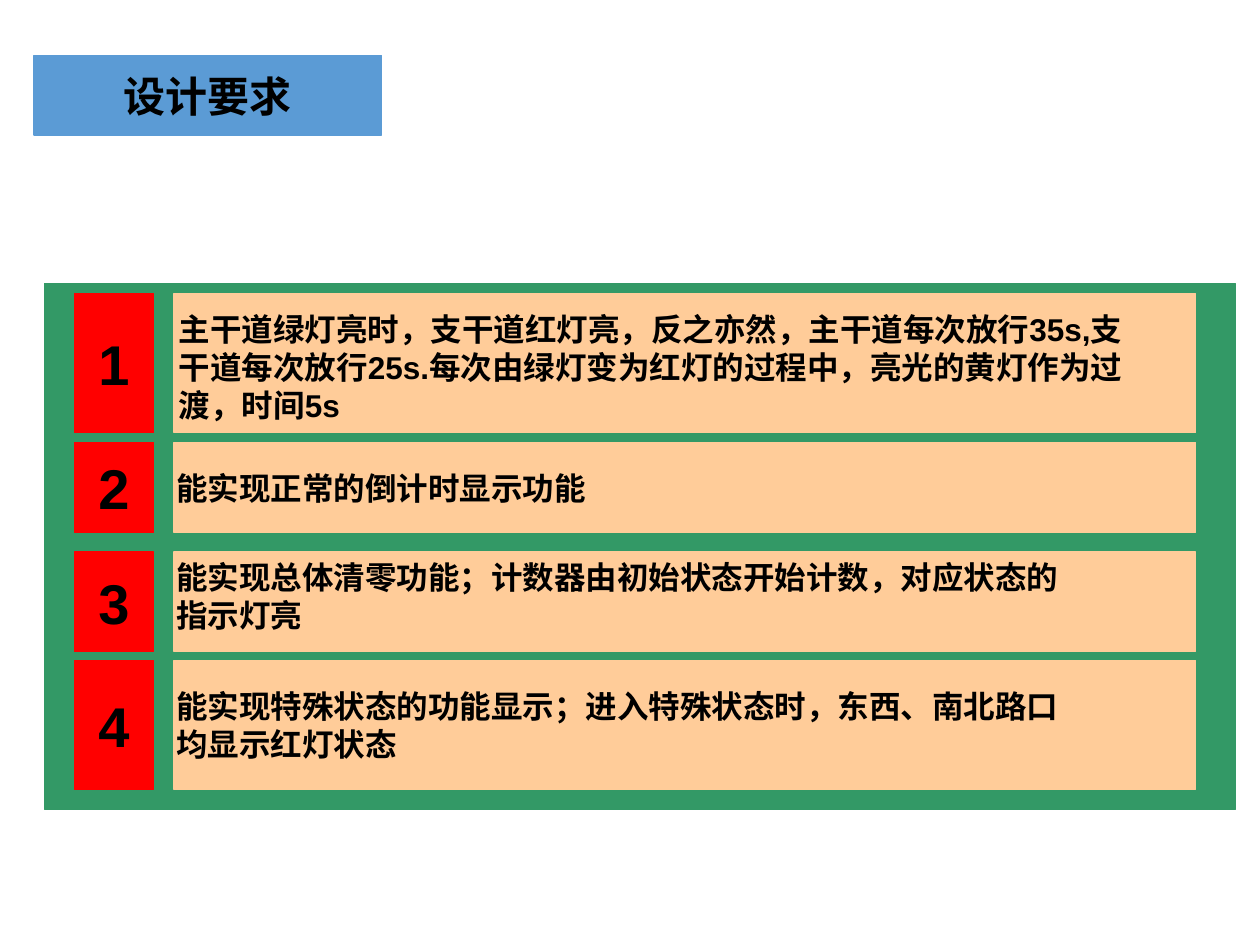
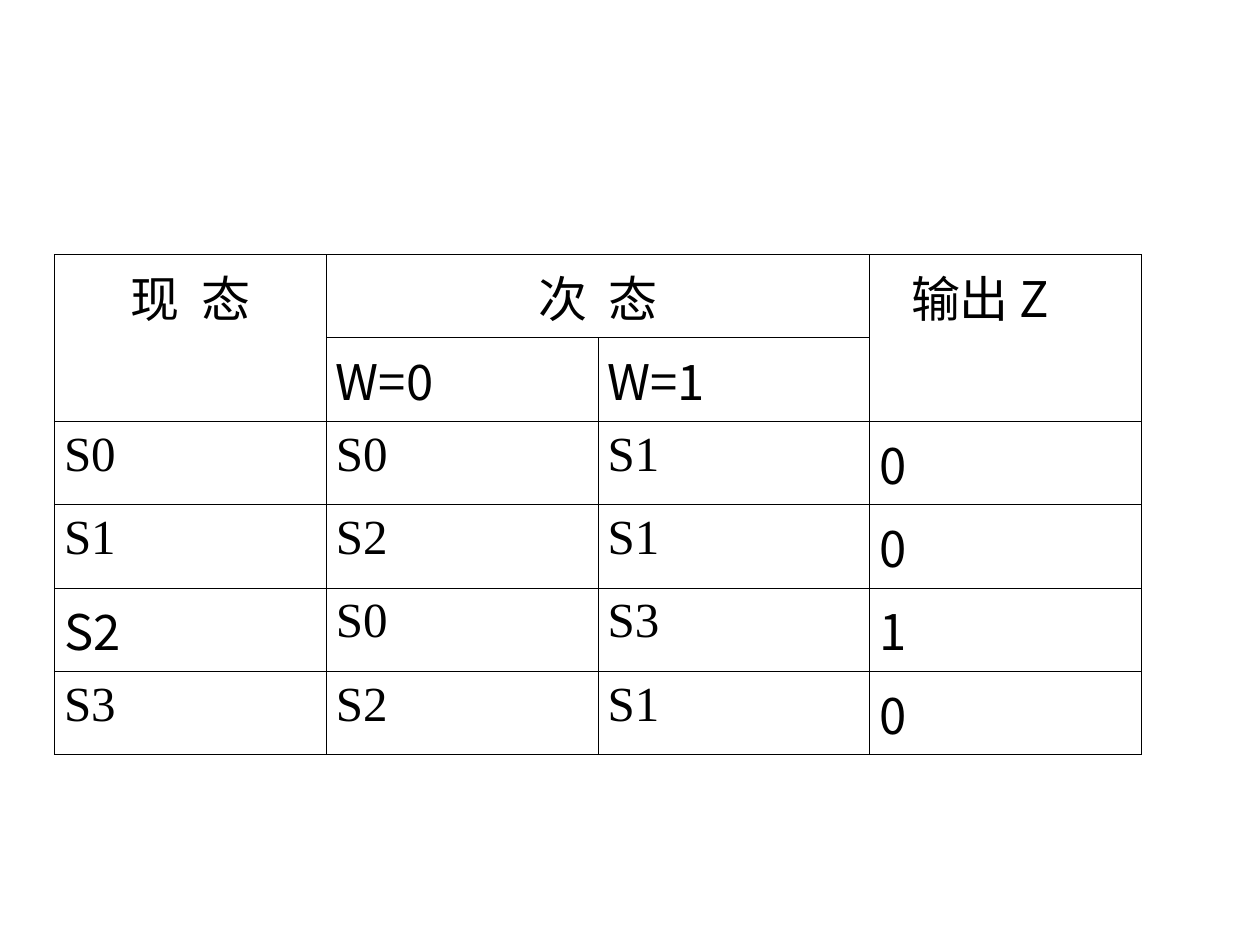
from collections import namedtuple
from dataclasses import dataclass

from lxml.etree import SubElement
from pptx import Presentation
from pptx.dml.color import RGBColor as Rgb
from pptx.enum.shapes import MSO_SHAPE as Shape
from pptx.enum.text import MSO_ANCHOR as Anchor, MSO_AUTO_SIZE as AutoSize, PP_ALIGN as Align
from pptx.oxml import parse_xml
from pptx.oxml.ns import nsdecls, qn
from pptx.util import Pt

Box = namedtuple("Box", "left top width height")
Requirement = namedtuple("Requirement", "top height text_left text_top text_width text_height lines")


@dataclass(frozen=True)
class Theme:
    ink: str = "000000"
    title_band: str = "5B9BD5"
    panel: str = "339966"
    strip: str = "FFCC99"
    badge: str = "FF0000"
    sans: str = "Arial"
    serif: str = "Times New Roman"
    chinese: str = "Noto Sans CJK SC"
    title_size: float = 24
    body_size: float = 18
    badge_size: float = 32
    table_size: float = 28
    outline: float = 0.75
    grid_line: float = 0.45


THEME = Theme()

REQUIREMENTS = [
    Requirement(5.8, 79.4, -4.3, 5.8, 576, 72, [
        "主干道绿灯亮时，支干道红灯亮，反之亦然，主干道每次放行35s,支",
        "干道每次放行25s.每次由绿灯变为红灯的过程中，亮光的黄灯作为过",
        "渡，时间5s"]),
    Requirement(90.8, 51.4, -5.8, 11.7, 248.4, 28.8, [
        "能实现正常的倒计时显示功能"]),
    Requirement(153.4, 56.9, -5.8, 0, 518.4, 50.4, [
        "能实现总体清零功能；计数器由初始状态开始计数，对应状态的",
        "指示灯亮"]),
    Requirement(215.4, 73.7, -5.8, 11.6, 518.4, 50.4, [
        "能实现特殊状态的功能显示；进入特殊状态时，东西、南北路口",
        "均显示红灯状态"]),
]

STATE_ROWS = [
    ["现 态", "次 态", "", "输出 Z"],
    ["", "W=0", "W=1", ""],
    ["S0", "S0", "S1", "0"],
    ["S1", "S2", "S1", "0"],
    ["S2", "S0", "S3", "1"],
    ["S3", "S2", "S1", "0"],
]


def style_run(run, size, latin, bold=False):
    run.font.size = Pt(size)
    run.font.bold = bold
    run.font.name = latin
    run.font.color.rgb = Rgb.from_string(THEME.ink)
    east_asian = SubElement(run.font._element, qn("a:ea"))
    east_asian.set("typeface", THEME.chinese)


def paint(shape, color):
    shape.fill.solid()
    shape.fill.fore_color.rgb = Rgb.from_string(color)
    shape.line.color.rgb = Rgb.from_string(color)
    shape.line.width = Pt(THEME.outline)


def write(shape, lines, size, align, anchor):
    frame = shape.text_frame
    frame.text = "\n".join(lines)
    frame.word_wrap = False
    frame.vertical_anchor = anchor
    for paragraph in frame.paragraphs:
        paragraph.alignment = align
        for run in paragraph.runs:
            style_run(run, size, THEME.sans, bold=True)


def add_block(slide, box, color):
    block = slide.shapes.add_shape(Shape.RECTANGLE, *map(Pt, box))
    block.shadow.inherit = False
    paint(block, color)
    return block


def place_title(slide, box, text):
    title = slide.shapes.title
    title.left, title.top, title.width, title.height = map(Pt, box)
    paint(title, THEME.title_band)
    write(title, [text], THEME.title_size, Align.CENTER, Anchor.MIDDLE)
    title.text_frame.auto_size = AutoSize.NONE


def add_requirement(slide, panel, number, item):
    top = panel.top + item.top
    strip = Box(panel.left + 73.9, top, 583.9, item.height)
    add_block(slide, strip, THEME.strip)
    badge = add_block(slide, Box(panel.left + 17, top, 45.4, item.height), THEME.badge)
    write(badge, [str(number)], THEME.badge_size, Align.CENTER, Anchor.MIDDLE)
    wording = slide.shapes.add_textbox(
        Pt(strip.left + item.text_left), Pt(top + item.text_top),
        Pt(item.text_width), Pt(item.text_height))
    write(wording, item.lines, THEME.body_size, Align.LEFT, Anchor.TOP)
    wording.text_frame.auto_size = AutoSize.SHAPE_TO_FIT_TEXT


def add_requirements(slide, panel):
    add_block(slide, panel, THEME.panel)
    for number, item in enumerate(REQUIREMENTS, 1):
        add_requirement(slide, panel, number, item)


def border_cell(cell):
    properties = cell._tc.get_or_add_tcPr()
    for position, side in enumerate(("lnL", "lnR", "lnT", "lnB")):
        properties.insert(position, parse_xml(
            f'<a:{side} {nsdecls("a")} w="{Pt(THEME.grid_line)}"><a:solidFill>'
            f'<a:srgbClr val="{THEME.ink}"/></a:solidFill></a:{side}>'))


def write_heading(paragraph, text):
    first, last = text.split(" ")
    for part in (first, " ", last):
        run = paragraph.add_run()
        run.text = part
        style_run(run, THEME.table_size, THEME.chinese if part == "Z" else THEME.serif)
        if part == " " and last != "Z":
            run.font._element.set("spc", "630")


def fill_cell(cell, row, column, text):
    cell.fill.background()
    cell.margin_left = cell.margin_right = Pt(5.6)
    cell.margin_top = cell.margin_bottom = Pt(3.6)
    border_cell(cell)
    if not text:
        return
    paragraph = cell.text_frame.paragraphs[0]
    if row == 0:
        write_heading(paragraph, text)
    else:
        paragraph.text = text
        in_chinese_font = row == 1 or column == 3 or (row, column) == (4, 0)
        style_run(paragraph.runs[0], THEME.table_size,
                  THEME.chinese if in_chinese_font else THEME.serif)
    paragraph.alignment = Align.CENTER if row == 0 and column < 3 else Align.JUSTIFY


def add_state_table(slide, box):
    table = slide.shapes.add_table(len(STATE_ROWS), len(STATE_ROWS[0]), *map(Pt, box)).table
    table.first_row = table.horz_banding = False
    for row, texts in enumerate(STATE_ROWS):
        for column, text in enumerate(texts):
            fill_cell(table.cell(row, column), row, column, text)
    for start, end in (((0, 0), (1, 0)), ((0, 1), (0, 2)), ((0, 3), (1, 3))):
        table.cell(*start).merge(table.cell(*end))
    output_heading = table.cell(0, 3).text_frame.paragraphs[0]
    output_heading._p.get_or_add_pPr().set("marL", str(Pt(18)))


def main():
    deck = Presentation()
    deck.slide_width, deck.slide_height = Pt(720), Pt(540)
    title_only, blank = deck.slide_layouts[5], deck.slide_layouts[6]

    requirements = deck.slides.add_slide(title_only)
    place_title(requirements, Box(19.4, 31.7, 198.7, 45.4), "设计要求")
    add_requirements(requirements, Box(25.5, 162, 680.4, 300.5))

    states = deck.slides.add_slide(blank)
    add_state_table(states, Box(31, 145.4, 621.4, 286))

    deck.save("out.pptx")


if __name__ == "__main__":
    main()
